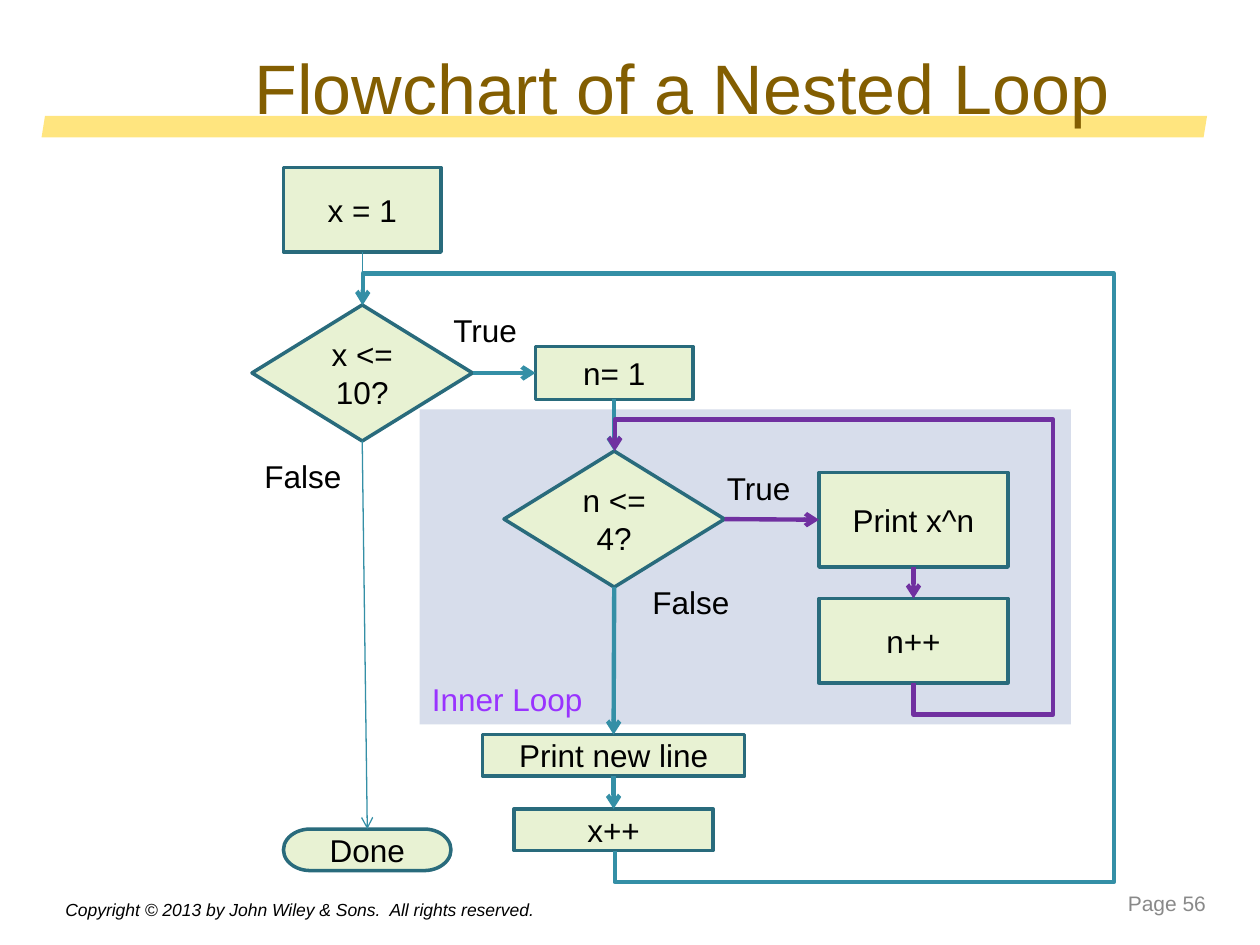
from lxml import etree
from pptx import Presentation
from pptx.dml import color as c
from pptx.enum import shapes as s, text as t
from pptx.oxml import ns
from pptx.util import Inches, Pt


class Theme:
    font = "Arial"
    black, title, page, inner = "000000", "835E01", "898989", "9933FF"
    bar, panel, box, edge = "FFCC00", "D7DDEB", "E8F2D3", "296B7C"
    teal, purple = "348FA6", "7030A0"
    head, body, small, note = 40, 18, 12, 10
    thin, thick, border = 0.75, 2.5, 2


def write(shape, words, size=Theme.body, color=Theme.black, align=t.PP_ALIGN.LEFT,
          anchor=t.MSO_ANCHOR.MIDDLE, wrap=True, italic=False):
    frame = shape.text_frame
    frame.word_wrap = wrap
    frame.auto_size = t.MSO_AUTO_SIZE.NONE
    frame.vertical_anchor = anchor
    para = frame.paragraphs[0]
    para.alignment = align
    run = para.add_run()
    run.text = words
    font = run.font
    font.name, font.size, font.italic = Theme.font, Pt(size), italic
    font.color.rgb = c.RGBColor.from_string(color)


def stroke(link, color, width):
    """Color a connector, give it an arrowhead and drop its shadow."""
    link.line.color.rgb = c.RGBColor.from_string(color)
    link.line.width = Pt(width)
    props = link._element.spPr
    etree.SubElement(props.find(ns.qn("a:ln")), ns.qn("a:tailEnd"), type="arrow")
    etree.SubElement(props, ns.qn("a:effectLst"))


deck = Presentation()
deck.slide_width, deck.slide_height = Inches(10), Inches(7.5)
slide = deck.slides.add_slide(deck.slide_layouts[5])
parts = slide.shapes
kind = s.MSO_SHAPE

# Title bar and inner loop panel
bar = parts.add_shape(kind.PARALLELOGRAM, Inches(0.33), Inches(0.92), Inches(9.25), Inches(0.17))
bar.adjustments[0] = 0.16
panel = parts.add_shape(kind.RECTANGLE, Inches(3.33), Inches(3.25), Inches(5.17), Inches(2.5))
for shape, fill in ((bar, Theme.bar), (panel, Theme.panel)):
    shape.shadow.inherit = False
    shape.fill.solid()
    shape.fill.fore_color.rgb = c.RGBColor.from_string(fill)
    shape.line.fill.background()
tint = bar._element.spPr.find(".//" + ns.qn("a:srgbClr"))
etree.SubElement(tint, ns.qn("a:alpha"), val="50000")
write(panel, "Inner Loop", color=Theme.inner, anchor=t.MSO_ANCHOR.BOTTOM)

# Title, in front of the bar
title = parts.title
title.left, title.top = Inches(1.92), Inches(0.3)
title.width, title.height = Inches(7.75), Inches(0.78)
write(title, "Flowchart of a Nested Loop", size=Theme.head, color=Theme.title)
title._element.getparent().append(title._element)

# Flowchart steps: name, kind, words, left, top, width, height
steps = (
    ("start", kind.FLOWCHART_PROCESS, "x = 1", 2.25, 1.33, 1.25, 0.67),
    ("outer", kind.FLOWCHART_DECISION, "x <= 10?", 2, 2.42, 1.75, 1.08),
    ("reset", kind.FLOWCHART_PROCESS, "n= 1", 4.25, 2.75, 1.25, 0.42),
    ("inner", kind.FLOWCHART_DECISION, "n <= 4?", 4, 3.58, 1.75, 1.08),
    ("print", kind.FLOWCHART_PROCESS, "Print x^n", 6.5, 3.75, 1.5, 0.75),
    ("next n", kind.FLOWCHART_PROCESS, "n++", 6.5, 4.75, 1.5, 0.67),
    ("line", kind.FLOWCHART_PROCESS, "Print new line", 3.83, 5.83, 2.08, 0.33),
    ("next x", kind.FLOWCHART_PROCESS, "x++", 4.08, 6.42, 1.58, 0.33),
    ("done", kind.FLOWCHART_TERMINATOR, "Done", 2.25, 6.58, 1.33, 0.33),
)
nodes = {}
for name, form, words, *place in steps:
    node = nodes[name] = parts.add_shape(form, *map(Inches, place))
    node.shadow.inherit = False
    node.fill.solid()
    node.fill.fore_color.rgb = c.RGBColor.from_string(Theme.box)
    node.line.color.rgb = c.RGBColor.from_string(Theme.edge)
    node.line.width = Pt(Theme.border)
    write(node, words, align=t.PP_ALIGN.CENTER)

# Straight arrows, glued to the steps
TOP, LEFT, BASE, RIGHT = range(4)
for first, out, last, into, color, width in (
    ("start", BASE, "outer", TOP, Theme.teal, Theme.thin),
    ("outer", RIGHT, "reset", LEFT, Theme.teal, Theme.thick),
    ("outer", BASE, "done", TOP, Theme.teal, Theme.thin),
    ("reset", BASE, "inner", TOP, Theme.teal, Theme.thick),
    ("inner", RIGHT, "print", LEFT, Theme.purple, Theme.thick),
    ("inner", BASE, "line", TOP, Theme.teal, Theme.thick),
    ("line", BASE, "next x", TOP, Theme.teal, Theme.thick),
    ("print", BASE, "next n", TOP, Theme.purple, Theme.thick),
):
    link = parts.add_connector(s.MSO_CONNECTOR.STRAIGHT, 0, 0, 0, 0)
    link.begin_connect(nodes[first], out)
    link.end_connect(nodes[last], into)
    stroke(link, color, width)

# Loop arrows: down by the gap, out to the far side, back in from above
gap = 0.25
for x1, y1, x2, y2, far, color in (
    (7.25, 5.42, 4.88, 3.58, 8.36, Theme.purple),
    (4.88, 6.75, 2.88, 2.42, 8.84, Theme.teal),
):
    # The box lies on its side, so its width is the rise of the arrow
    rise, run = y1 - y2, x1 - x2
    left, top = (x1 + x2 - rise) / 2, (y1 + y2 - run) / 2
    link = parts.add_connector(s.MSO_CONNECTOR.ELBOW, Inches(left), Inches(top),
                               Inches(left + rise), Inches(top + run))
    props = link._element.spPr
    frame = props.find(ns.qn("a:xfrm"))
    frame.set("rot", "5400000")
    frame.set("flipH", "1")
    geom = props.find(ns.qn("a:prstGeom"))
    geom.set("prst", "bentConnector5")
    bends = geom.find(ns.qn("a:avLst"))
    for i, bend in enumerate((-gap / rise, (x1 - far) / run, 1 + gap / rise), 1):
        etree.SubElement(bends, ns.qn("a:gd"), name=f"adj{i}",
                         fmla=f"val {round(bend * 100000)}")
    stroke(link, color, Theme.thick)

# Branch labels
for words, left, top, width in (
    ("True", 3.5, 2.42, 0.71),
    ("False", 2, 3.58, 0.82),
    ("True", 5.67, 3.67, 0.71),
    ("False", 5.08, 4.58, 0.82),
):
    label = parts.add_textbox(Inches(left), Inches(top), Inches(width), Inches(0.4))
    write(label, words, wrap=False, anchor=t.MSO_ANCHOR.TOP)

# Footer
page = parts.add_textbox(Inches(7.92), Inches(7), Inches(1.75), Inches(0.33))
write(page, "Page 56", size=Theme.small, color=Theme.page, align=t.PP_ALIGN.RIGHT)
note = parts.add_textbox(Inches(0.42), Inches(7.08), Inches(4.42), Inches(0.28))
write(note, "Copyright © 2013 by John Wiley & Sons.  All rights reserved.",
      size=Theme.note, italic=True)

deck.save("out.pptx")
